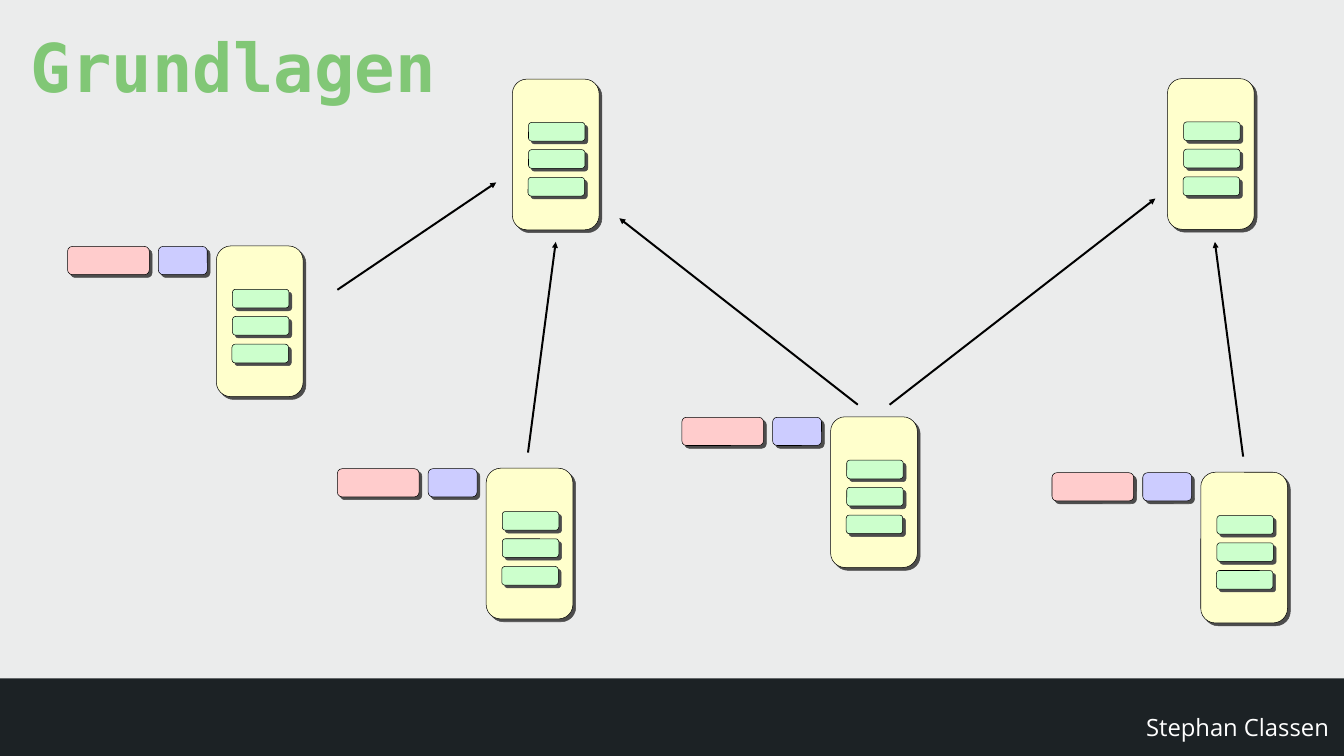
from lxml import etree
from pptx import Presentation
from pptx.dml.color import RGBColor
from pptx.enum.shapes import MSO_CONNECTOR, MSO_SHAPE
from pptx.enum.text import MSO_ANCHOR, PP_ALIGN
from pptx.oxml.ns import qn
from pptx.util import Inches, Pt

RECT, ROUNDED = MSO_SHAPE.RECTANGLE, MSO_SHAPE.ROUNDED_RECTANGLE
STRAIGHT = MSO_CONNECTOR.STRAIGHT
LEFT, RIGHT = PP_ALIGN.LEFT, PP_ALIGN.RIGHT
TOP, MIDDLE = MSO_ANCHOR.TOP, MSO_ANCHOR.MIDDLE

BACKGROUND = RGBColor(0xEB, 0xEC, 0xEC)
DARK = RGBColor(0x1C, 0x22, 0x25)
WHITE = RGBColor(0xFF, 0xFF, 0xFF)
BLACK = RGBColor(0, 0, 0)
GREEN = RGBColor(0x81, 0xC7, 0x76)
PINK = RGBColor(0xFF, 0xCC, 0xCC)
LILAC = RGBColor(0xCC, 0xCC, 0xFF)
CREAM = RGBColor(0xFF, 0xFF, 0xCC)
MINT = RGBColor(0xCC, 0xFF, 0xCC)
SHADOW = RGBColor(0x4C, 0x4C, 0x4C)

TITLE = "Grundlagen"
AUTHOR = "Stephan Classen"

# Top left corner of each node, and whether labels stand to its left
NODES = [
    (9.64, 9.29, True),
    (10.16, 1.57, False),
    (23.15, 1.56, False),
    (4.29, 4.88, True),
    (16.47, 8.27, True),
    (23.81, 9.37, True),
]
# Parts relative to a node's corner: left, top, width, height, colour
LABELS = [(-2.95, 0.01, 1.62, 0.56, PINK), (-1.15, 0.01, 0.97, 0.56, LILAC)]
BODY = (0, 0, 1.72, 2.99, CREAM)
SLOTS = [
    (0.32, 0.86, 1.12, 0.37, MINT),
    (0.32, 1.4, 1.12, 0.37, MINT),
    (0.31, 1.95, 1.12, 0.37, MINT),
]
ARROWS = [
    ((6.69, 5.75), (9.84, 3.62)),
    ((10.47, 8.98), (11.02, 4.8)),
    ((17.01, 8.03), (12.28, 4.33)),
    ((17.64, 8.03), (22.91, 3.94)),
    ((24.65, 9.06), (24.09, 4.8)),
]


def add_hard_shadow(shape):
    shape.shadow.inherit = False
    effects = shape._element.spPr.find(qn("a:effectLst"))
    shadow = etree.SubElement(effects, qn("a:outerShdw"), blurRad="0",
                              dist=str(Pt(5.7)), dir="2700000",
                              algn="tl", rotWithShape="0")
    etree.SubElement(shadow, qn("a:srgbClr"), val=str(SHADOW))


def add_part(slide, x, y, part):
    """Add one rounded box of a node whose corner is at x, y."""
    dx, dy, width, height, colour = part
    box = slide.shapes.add_shape(ROUNDED, Inches(x + dx), Inches(y + dy),
                                 Inches(width), Inches(height))
    box.adjustments[0] = 0.167
    box.fill.solid()
    box.fill.fore_color.rgb = colour
    box.line.color.rgb = BLACK
    box.line.width = Pt(0)
    add_hard_shadow(box)


def add_arrow(slide, start, end):
    arrow = slide.shapes.add_connector(
        STRAIGHT, *(Inches(value) for value in start + end))
    arrow.line.color.rgb = BLACK
    arrow.line.width = Pt(2.83)
    etree.SubElement(arrow.line._get_or_add_ln(), qn("a:tailEnd"), type="triangle")
    etree.SubElement(arrow._element.spPr, qn("a:effectLst"))


def write(shape, text, font_name, size, colour, align, anchor, bold=False):
    frame = shape.text_frame
    frame.text = text
    frame.word_wrap = True
    frame.vertical_anchor = anchor
    paragraph = frame.paragraphs[0]
    paragraph.alignment = align
    font = paragraph.font
    font.name, font.size, font.bold = font_name, Pt(size), bold
    font.color.rgb = colour


def main():
    deck = Presentation()
    deck.slide_width, deck.slide_height = Inches(26.65), Inches(15)
    slide = deck.slides.add_slide(deck.slide_layouts[5])
    slide.background.fill.solid()
    slide.background.fill.fore_color.rgb = BACKGROUND

    title = slide.shapes.title
    title.left, title.top = Inches(0.51), Inches(0.35)
    title.width, title.height = Inches(25.59), Inches(1.91)
    write(title, TITLE, "DejaVu Sans Mono", 96, GREEN, LEFT, MIDDLE, bold=True)

    footer = slide.shapes.add_shape(RECT, 0, Inches(13.46),
                                    deck.slide_width, Inches(1.57))
    footer.fill.solid()
    footer.fill.fore_color.rgb = DARK
    footer.line.fill.background()
    footer.shadow.inherit = False

    author = slide.shapes.add_textbox(Inches(18.58), Inches(14.09),
                                      Inches(7.87), Inches(0.74))
    write(author, AUTHOR, "Open Sans", 34, WHITE, RIGHT, TOP)

    for x, y, labelled in NODES:
        for part in (LABELS if labelled else []) + [BODY] + SLOTS:
            add_part(slide, x, y, part)
    for start, end in ARROWS:
        add_arrow(slide, start, end)

    deck.save("out.pptx")


if __name__ == "__main__":
    main()
